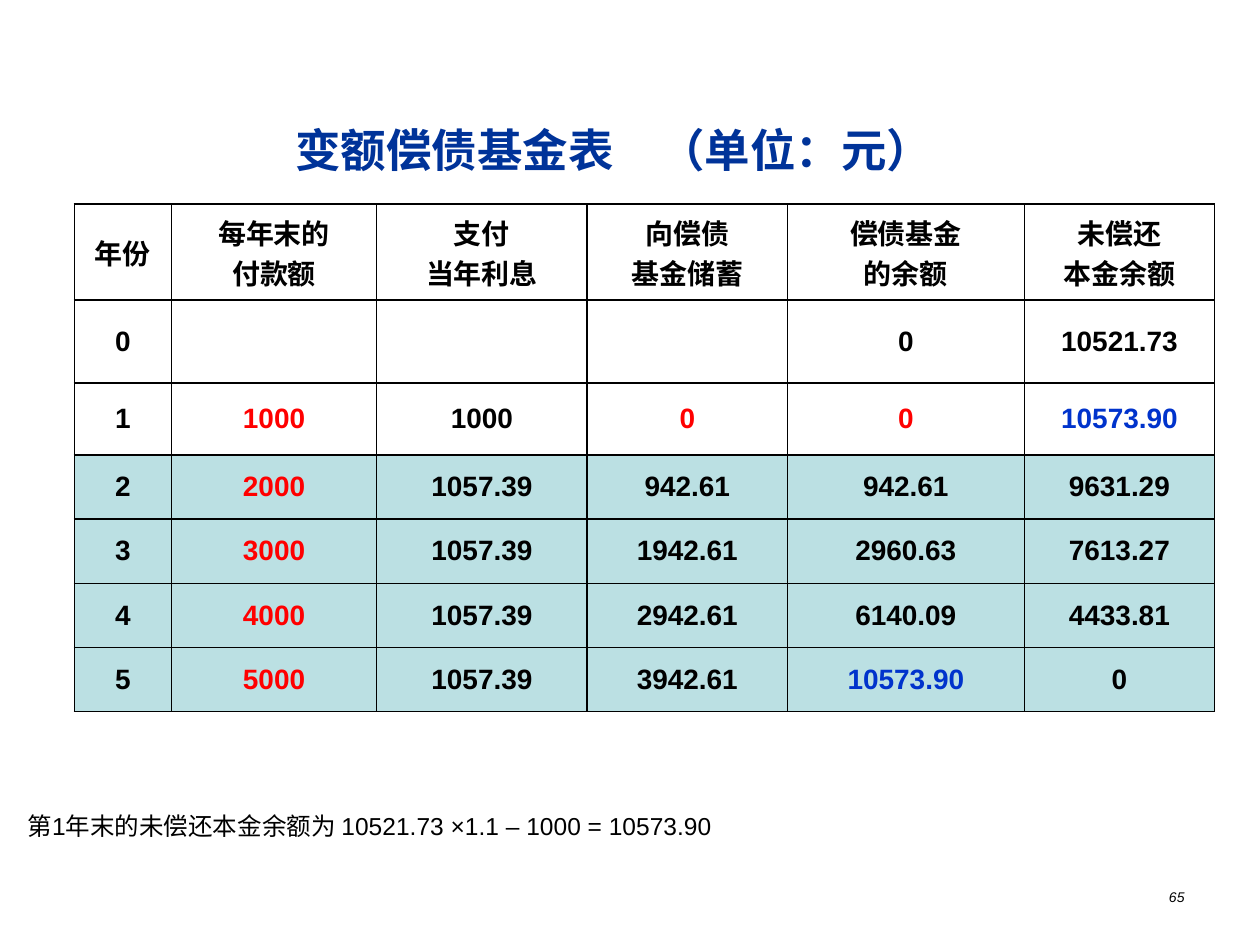
import dataclasses

import lxml.etree
import pptx
import pptx.dml.color
import pptx.enum.text
import pptx.oxml.ns
import pptx.util

Inches = pptx.util.Inches
Align = pptx.enum.text.PP_ALIGN
Anchor = pptx.enum.text.MSO_ANCHOR


@dataclasses.dataclass(frozen=True)
class Theme:
    font: str = "Arial"
    ink: str = "000000"
    heading: str = "003399"
    payment: str = "FF0000"
    balance: str = "0033CC"
    band: str = "BBE0E3"
    heading_size: int = 26
    table_size: int = 16
    note_size: int = 14
    number_size: int = 8
    border: int = 1


class SlideBuilder:
    def __init__(self, slide, theme):
        self.slide = slide
        self.theme = theme

    def set_text(self, frame, text, size, color, align, bold=False, italic=False):
        frame.text = text
        for paragraph in frame.paragraphs:
            paragraph.alignment = align
            for run in paragraph.runs:
                run.font.name = self.theme.font
                run.font.size = pptx.util.Pt(size)
                run.font.bold = bold
                run.font.italic = italic
                run.font.color.rgb = pptx.dml.color.RGBColor.from_string(color)

    def title(self, text, left, top, width, height):
        heading = self.slide.shapes.title
        heading.left, heading.top = Inches(left), Inches(top)
        heading.width, heading.height = Inches(width), Inches(height)
        heading.text_frame.vertical_anchor = Anchor.MIDDLE
        self.set_text(heading.text_frame, text, self.theme.heading_size,
                      self.theme.heading, Align.CENTER, bold=True)

    def text(self, text, left, top, width, height, size, align, anchor, italic=False):
        box = self.slide.shapes.add_textbox(
            Inches(left), Inches(top), Inches(width), Inches(height))
        frame = box.text_frame
        frame.word_wrap = True
        frame.vertical_anchor = anchor
        frame.margin_bottom = 0
        self.set_text(frame, text, size, self.theme.ink, align, italic=italic)

    def borders(self, cell):
        properties = cell._tc.get_or_add_tcPr()
        qn = pptx.oxml.ns.qn
        for side in ("a:lnL", "a:lnR", "a:lnT", "a:lnB"):
            line = lxml.etree.SubElement(
                properties, qn(side), w=str(pptx.util.Pt(self.theme.border)))
            fill = lxml.etree.SubElement(line, qn("a:solidFill"))
            lxml.etree.SubElement(fill, qn("a:srgbClr"), val=self.theme.ink)

    def table(self, rows, left, top, widths, heights, color_of, is_banded):
        grid = self.slide.shapes.add_table(
            len(rows), len(widths), Inches(left), Inches(top),
            Inches(sum(widths)), Inches(sum(heights))).table
        grid.first_row = grid.horz_banding = False
        for column, width in zip(grid.columns, widths):
            column.width = Inches(width)
        for r, (row, height) in enumerate(zip(rows, heights)):
            grid.rows[r].height = Inches(height)
            for c, value in enumerate(row):
                cell = grid.cell(r, c)
                cell.vertical_anchor = Anchor.MIDDLE
                self.set_text(cell.text_frame, value, self.theme.table_size,
                              color_of(r, c, value), Align.CENTER, bold=True)
                self.borders(cell)
                if is_banded(r):
                    cell.fill.solid()
                    cell.fill.fore_color.rgb = pptx.dml.color.RGBColor.from_string(
                        self.theme.band)
                else:
                    cell.fill.background()


FUND_SCHEDULE = [
    ["年份", "每年末的\n付款额", "支付\n当年利息", "向偿债\n基金储蓄", "偿债基金\n的余额", "未偿还\n本金余额"],
    ["0", "", "", "", "0", "10521.73"],
    ["1", "1000", "1000", "0", "0", "10573.90"],
    ["2", "2000", "1057.39", "942.61", "942.61", "9631.29"],
    ["3", "3000", "1057.39", "1942.61", "2960.63", "7613.27"],
    ["4", "4000", "1057.39", "2942.61", "6140.09", "4433.81"],
    ["5", "5000", "1057.39", "3942.61", "10573.90", "0"],
]
FIRST_YEAR_ROW = 2


def main():
    theme = Theme()
    presentation = pptx.Presentation()
    presentation.slide_width, presentation.slide_height = Inches(10), Inches(7.5)
    slide = presentation.slides.add_slide(presentation.slide_layouts[5])
    builder = SlideBuilder(slide, theme)

    def color_of(row, column, value):
        if value == "10573.90":
            return theme.balance
        is_payment = column == 1 and row >= FIRST_YEAR_ROW
        is_unsaved = row == FIRST_YEAR_ROW and value == "0"
        return theme.payment if is_payment or is_unsaved else theme.ink

    builder.text("65", 7.17, 6.83, 2.33, 0.52, theme.number_size,
                 Align.RIGHT, Anchor.MIDDLE, italic=True)
    builder.title("变额偿债基金表　（单位：元）", 0.75, 0.91, 8.25, 0.55)
    builder.table(FUND_SCHEDULE, 0.59, 1.62,
                  [0.77, 1.63, 1.67, 1.59, 1.88, 1.51],
                  [0.76, 0.66, 0.57] + [0.51] * 4,
                  color_of, lambda row: row > FIRST_YEAR_ROW)
    builder.text("第1年末的未偿还本金余额为 10521.73 ×1.1 – 1000 = 10573.90",
                 0.12, 6.06, 9.69, 0.61, theme.note_size, Align.LEFT, Anchor.BOTTOM)
    presentation.save("out.pptx")


if __name__ == "__main__":
    main()
